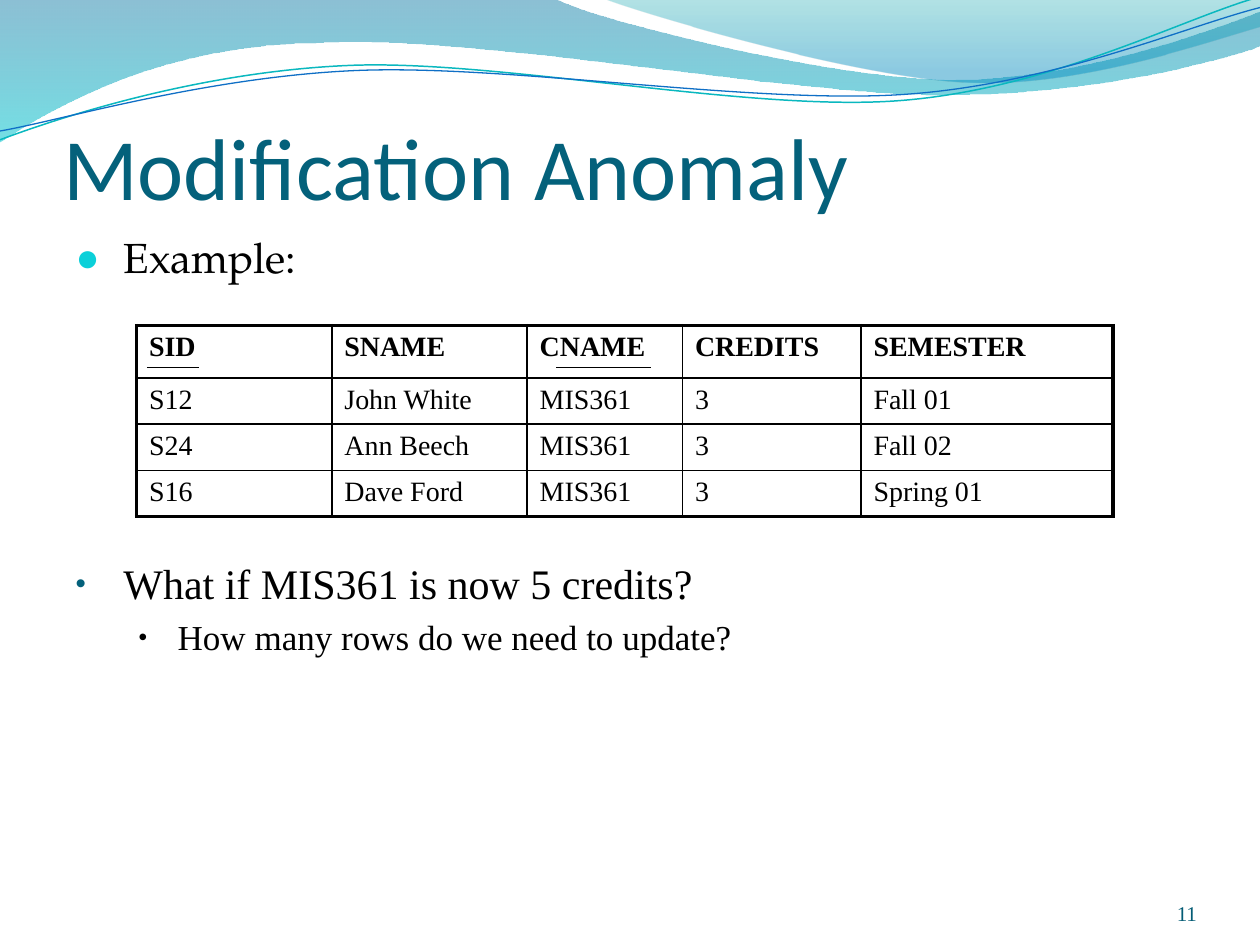
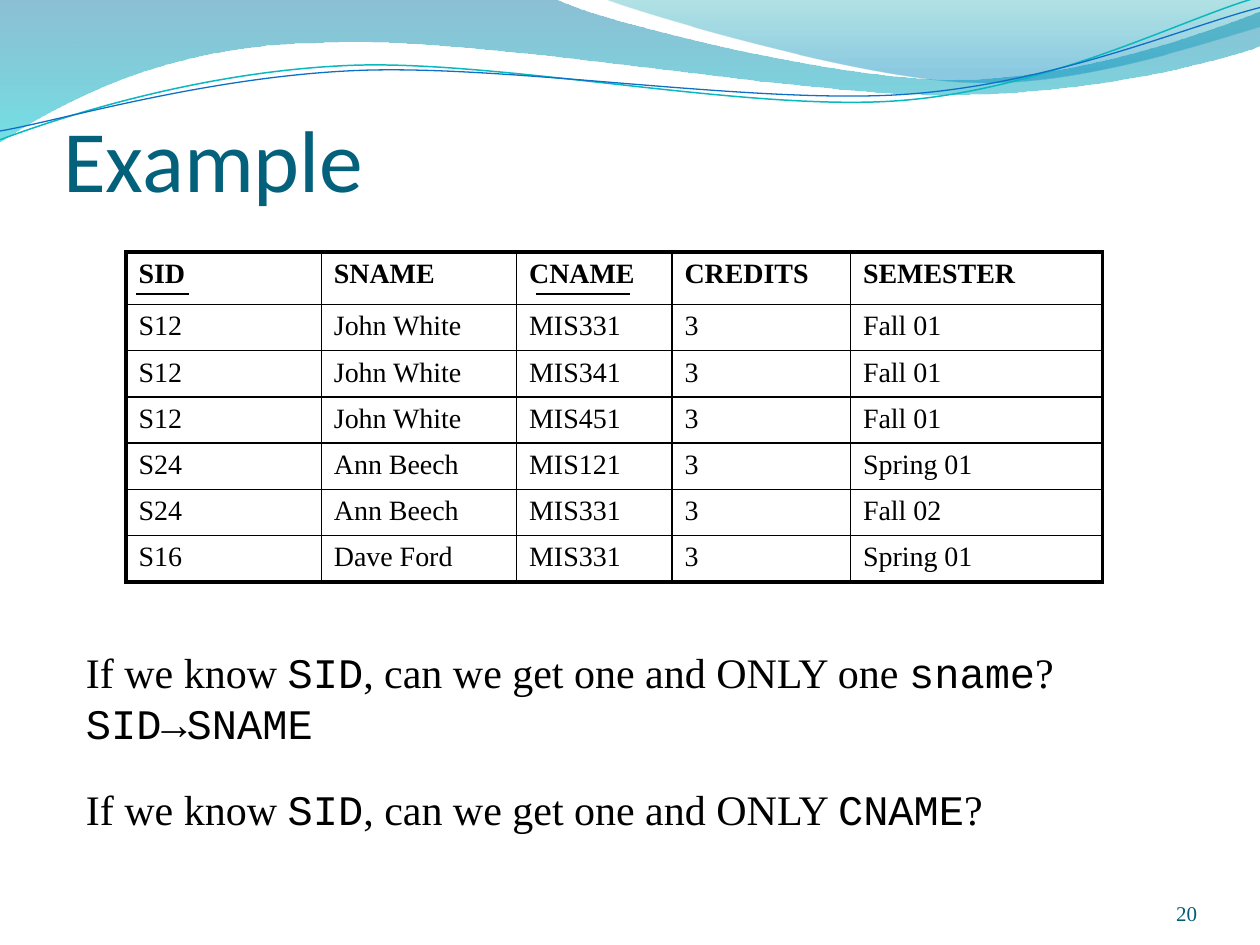
from itertools import cycle

from lxml import etree
from pptx import Presentation
from pptx import util as u
from pptx.dml.color import RGBColor
from pptx.enum import shapes, text
from pptx.oxml import ns

BLACK = RGBColor(0x00, 0x00, 0x00)
TITLE_BLUE = RGBColor(0x04, 0x61, 0x7B)
NUMBER_BLUE = RGBColor(0x04, 0x5C, 0x75)
BULLET_CYAN = RGBColor(0x0B, 0xD0, 0xD9)
WAVE_TEAL = RGBColor(0x0A, 0xB8, 0xBF)
WAVE_BLUE = RGBColor(0x0F, 0x6F, 0xC6)
BAND_TOP = RGBColor(0x00, 0x74, 0xA1)
BAND_END = RGBColor(0x00, 0xC6, 0xCF)
CREST_TOP = RGBColor(0x00, 0xA1, 0xA9)
CREST_END = RGBColor(0x00, 0x8B, 0xBF)

SERIF, SANS, MONO, BOOK = "Times New Roman", "Calibri", "Courier New", "TeX Gyre Pagella"
GRID_COLUMNS = 120
COLUMN_SPANS = (18.6, 18.6, 14.8, 17, 24)
HEADER_SPAN, ROW_SPAN = 5, 4.4
HEADER = ("SID", "SNAME", "CNAME", "CREDITS", "SEMESTER")
TWO_CONTENT, TITLE_ONLY = 3, 5

BAND = [(0, -0.01), (4.4, -0.01),
        (4.76, 0.17, 6.64, 0.63, 7.58, 0.63), (8.53, 0.63, 9.58, 0.26, 10, 0.09),
        (10.01, 0.36), (9.83, 0.44, 8.7, 0.76, 7.46, 0.75),
        (6.22, 0.75, 3.82, 0.28, 2.57, 0.34), (1.29, 0.35, 0.46, 0.83, -0.01, 1.13)]
CREST = [(4.79, -0.01), (5.09, 0.11, 6.82, 0.62, 7.69, 0.65),
         (8.56, 0.69, 9.61, 0.32, 10, 0.21), (10, 0)]
TEAL_WAVE = [(0, 1.11), (0.48, 0.93, 1.58, 0.57, 2.77, 0.52),
             (3.95, 0.47, 5.93, 0.89, 7.13, 0.8), (8.33, 0.71, 9.38, 0.15, 9.98, -0.02)]
BLUE_WAVE = [(0, 1.04), (0.47, 0.96, 1.64, 0.61, 2.83, 0.56),
             (4.03, 0.51, 5.97, 0.83, 7.17, 0.75), (8.36, 0.67, 9.41, 0.21, 10, 0.06)]


def add_xml(parent, tag, **attributes):
    """Append a DrawingML element and return it."""
    return etree.SubElement(parent, ns.qn(tag), attributes)


def set_font(font, name, size, color, bold=False):
    """Set the four font properties the deck uses."""
    font.name, font.size, font.bold = name, u.Pt(size), bold
    font.color.rgb = color


class Deck:
    """Holds the deck's style and its current slide."""

    def __init__(self):
        """Start a 4:3 deck whose master carries the waves."""
        self.prs = Presentation()
        self.prs.slide_width, self.prs.slide_height = u.Inches(10), u.Inches(7.5)
        self.unit = self.prs.slide_width / GRID_COLUMNS
        self.s = None

    def span(self, *cells):
        """Convert grid cells to EMU."""
        return [round(c * self.unit) for c in cells]

    def slide(self, layout, title, box, number):
        """Add a slide with its title and number."""
        first = self.s is None
        self.s = self.prs.slides.add_slide(self.prs.slide_layouts[layout])
        if first:
            self.waves()
        tf = self.place(self.s.shapes.title, box)
        tf.vertical_anchor = text.MSO_ANCHOR.BOTTOM
        tf.margin_left = tf.margin_right = tf.margin_bottom = 0
        tf.margin_top = u.Inches(0.05)
        p = tf.paragraphs[0]
        p.text, p.alignment = title, text.PP_ALIGN.LEFT
        set_font(p.font, SANS, 50, TITLE_BLUE)
        self.number(number)

    def place(self, sp, box):
        """Move a placeholder and return its text frame."""
        sp.left, sp.top, sp.width, sp.height = self.span(*box)
        tf = sp.text_frame
        tf.auto_size, tf.word_wrap = text.MSO_AUTO_SIZE.NONE, True
        return tf

    def waves(self):
        """Draw the header waves and move them to the master."""
        waves = [self.band(BAND, (0, BAND_TOP, 45), (1, BAND_END, 55)),
                 self.band(CREST, (0, CREST_TOP, 30), (0.8, CREST_END, 45)),
                 self.wave(TEAL_WAVE, WAVE_TEAL, 0.85),
                 self.wave(BLUE_WAVE, WAVE_BLUE, 0.75)]
        tree = self.prs.slide_master.shapes.element
        for i, sp in enumerate(waves):
            sp.element.xpath(".//p:cNvPr")[0].set("id", str(100 + i))
            tree.insert(2 + i, sp.element)

    def outline(self, steps, close):
        """Build a freeform whose six-number steps are Bézier curves."""
        start, *rest = [[u.Inches(n) for n in step] for step in steps]
        builder = self.s.shapes.build_freeform(*start)
        builder.add_line_segments([pair for step in rest for pair in zip(step[::2], step[1::2])],
                                  close=close)
        sp = builder.convert_to_shape()
        segments = iter(sp.element.xpath(".//a:lnTo"))
        for step in rest:
            segment = next(segments)
            if len(step) == 6:
                curve = etree.Element(ns.qn("a:cubicBezTo"))
                segment.addprevious(curve)
                for part in (segment, next(segments), next(segments)):
                    curve.append(part[0])
                    part.getparent().remove(part)
        sp.shadow.inherit = False
        return sp

    def band(self, steps, *stops):
        """Draw a translucent gradient band from (position, colour, opacity) stops."""
        sp = self.outline(steps, True)
        sp.line.fill.background()
        sp.fill.gradient()
        sp.fill.gradient_angle = 270
        for stop, (position, color, _) in zip(sp.fill.gradient_stops, stops):
            stop.position, stop.color.rgb = position, color
        for color, stop in zip(sp.element.xpath(".//a:gs/a:srgbClr"), stops):
            add_xml(color, "a:alpha", val=str(stop[2] * 1000))
        return sp

    def wave(self, steps, color, width):
        """Draw an open curve."""
        sp = self.outline(steps, False)
        sp.fill.background()
        sp.line.color.rgb, sp.line.width = color, u.Pt(width)
        return sp

    def textbox(self, box):
        """Add a wrapping text box and return its text frame."""
        tf = self.s.shapes.add_textbox(*self.span(*box)).text_frame
        tf.word_wrap = True
        return tf

    def number(self, value):
        """Write the slide number at the lower right."""
        tf = self.textbox((104, 83.4, 10, 4.8))
        tf.margin_left = tf.margin_top = tf.margin_right = tf.margin_bottom = 0
        tf.vertical_anchor = text.MSO_ANCHOR.BOTTOM
        p = tf.paragraphs[0]
        p.text, p.alignment = str(value), text.PP_ALIGN.RIGHT
        set_font(p.font, SERIF, 12, NUMBER_BLUE)

    def bullets(self, index, box, items):
        """Fill a body placeholder with (text, level, font, size, mark, mark colour, mark size)."""
        tf = self.place(self.s.placeholders[index], box)
        for i, (line, level, name, size, mark, color, percent) in enumerate(items):
            p = tf.add_paragraph() if i else tf.paragraphs[0]
            p.text, p.level, p.line_spacing = line, level, 0.9
            p.space_before = u.Pt(7 if i else 0)
            left, hang = ((0.38, 0.38), (0.81, 0.31))[level]
            pPr = p._p.get_or_add_pPr()
            pPr.set("marL", str(u.Inches(left)))
            pPr.set("indent", str(-u.Inches(hang)))
            add_xml(add_xml(pPr, "a:buClr"), "a:srgbClr", val=str(color))
            add_xml(pPr, "a:buSzPct", val=str(percent * 1000))
            add_xml(pPr, "a:buChar", char=mark)
            set_font(p.font, name, size, BLACK)

    def question(self, box, line):
        """Write a question in which text between backticks is monospaced."""
        p = self.textbox(box).paragraphs[0]
        for part, name in zip(line.split("`"), cycle((SERIF, MONO))):
            if part:
                r = p.add_run()
                r.text = part
                set_font(r.font, name, 24, BLACK)

    def table(self, left, top, records):
        """Add the enrolment table with a heavy outer frame."""
        rows = [HEADER, *records]
        spans = [HEADER_SPAN] + [ROW_SPAN] * len(records)
        size = self.span(left, top, sum(COLUMN_SPANS), sum(spans))
        table = self.s.shapes.add_table(len(rows), len(HEADER), *size).table
        table.first_row = table.horz_banding = False
        for column, width in zip(table.columns, self.span(*COLUMN_SPANS)):
            column.width = width
        for row, height in zip(table.rows, self.span(*spans)):
            row.height = height
        for i, row in enumerate(rows):
            for j, value in enumerate(row):
                cell = table.cell(i, j)
                p = cell.text_frame.paragraphs[0]
                p.text = value
                set_font(p.font, SERIF, 16, BLACK, bold=i == 0)
                self.borders(cell, L=j == 0, R=j == len(row) - 1,
                             T=i == 0, B=i == len(rows) - 1)
                cell.fill.background()

    def borders(self, cell, **outer):
        """Draw a cell's four sides, heavier on the outer frame."""
        tcPr = cell._tc.get_or_add_tcPr()
        for side, heavy in outer.items():
            ln = add_xml(tcPr, "a:ln" + side, w=str(u.Pt(2.25 if heavy else 1)))
            add_xml(add_xml(ln, "a:solidFill"), "a:srgbClr", val=str(BLACK))

    def key_line(self, start, end, row):
        """Underline a key column's name."""
        line = self.s.shapes.add_connector(shapes.MSO_CONNECTOR.STRAIGHT,
                                           *self.span(start, row, end, row))
        line.line.color.rgb, line.line.width = BLACK, u.Pt(0.75)
        add_xml(line.element.spPr, "a:effectLst")


def main():
    """Build both slides and save the deck."""
    deck = Deck()

    deck.slide(TWO_CONTENT, "Modification Anomaly", (6, 12, 108, 8.8), 11)
    deck.bullets(1, (6, 22, 111, 8), [("Example:", 0, BOOK, 24, "●", BULLET_CYAN, 95)])
    deck.table(13, 31, [("S12", "John White", "MIS361", "3", "Fall 01"),
                        ("S24", "Ann Beech", "MIS361", "3", "Fall 02"),
                        ("S16", "Dave Ford", "MIS361", "3", "Spring 01")])
    deck.key_line(14, 19, 35)
    deck.key_line(53, 62, 35)
    deck.bullets(2, (6, 53, 111, 13), [
        ("What if MIS361 is now 5 credits?", 0, SERIF, 24, "•", TITLE_BLUE, 70),
        ("How many rows do we need to update?", 1, SERIF, 20, "•", BLACK, 70)])

    deck.slide(TITLE_ONLY, "Example", (6, 9.2, 108, 10.8), 20)
    deck.table(12, 24, [("S12", "John White", "MIS331", "3", "Fall 01"),
                        ("S12", "John White", "MIS341", "3", "Fall 01"),
                        ("S12", "John White", "MIS451", "3", "Fall 01"),
                        ("S24", "Ann Beech", "MIS121", "3", "Spring 01"),
                        ("S24", "Ann Beech", "MIS331", "3", "Fall 02"),
                        ("S16", "Dave Ford", "MIS331", "3", "Spring 01")])
    deck.key_line(13, 18, 28)
    deck.key_line(51, 60, 28)
    deck.question((7, 61, 103, 10.8),
                  "If we know `SID`, can we get one and ONLY one `sname`? `SID→SNAME`")
    deck.question((7, 74, 94, 6), "If we know `SID`, can we get one and ONLY `CNAME`?")

    deck.prs.save("out.pptx")


if __name__ == "__main__":
    main()
